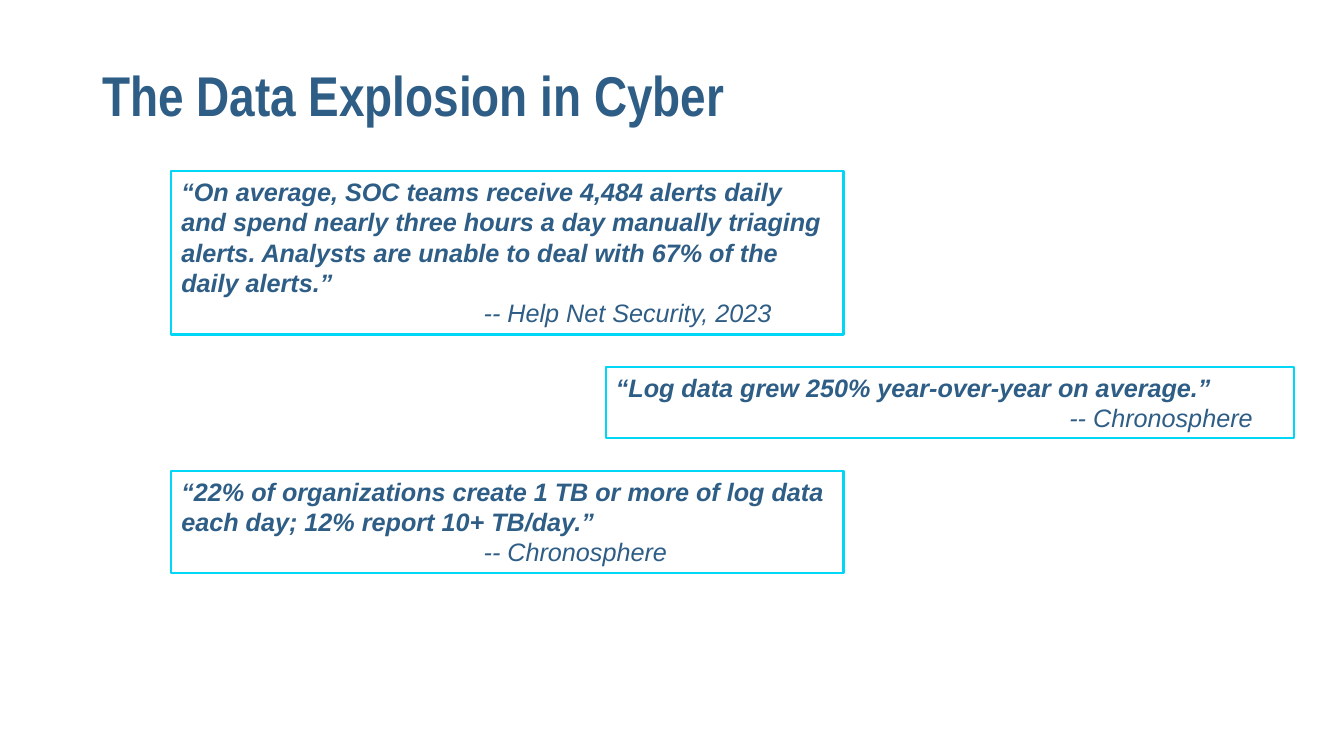
"""Build the slide of three quotes on data growth in cyber security."""
from pptx import Presentation
from pptx.dml.color import RGBColor
from pptx.enum.text import MSO_ANCHOR, MSO_AUTO_SIZE, PP_ALIGN
from pptx.util import Cm, Pt

COLORS = {"text": "2E5D86", "border": "00D7F7"}


def style(p, font, size, bold, italic):
    for r in p.runs:
        r.font.name = font
        r.font.size = Pt(size)
        r.font.bold = bold
        r.font.italic = italic
        r.font.color.rgb = RGBColor.from_string(COLORS["text"])


prs = Presentation()
prs.slide_width, prs.slide_height = Cm(33.87), Cm(19.05)
s = prs.slides.add_slide(prs.slide_layouts[5])

title = s.shapes.title
title.left, title.top, title.width, title.height = Cm(2.33), Cm(0.64), Cm(29.21), Cm(3.68)
tf = title.text_frame
tf.text = "The Data Explosion in Cyber"
tf.auto_size = MSO_AUTO_SIZE.NONE
tf.vertical_anchor = MSO_ANCHOR.MIDDLE
p = tf.paragraphs[0]
p.alignment = PP_ALIGN.LEFT
p.line_spacing = 0.9
style(p, "Arial Narrow", 40, True, False)

quotes = [
    (4.32, 16.94, 4.11, 7.62,
     "“On average, SOC teams receive 4,484 alerts daily and spend nearly three hours a day "
     "manually triaging alerts. Analysts are unable to deal with 67% of the daily alerts.”",
     "-- Help Net Security, 2023"),
    (15.27, 17.35, 1.8, 11.43,
     "“Log data grew 250% year-over-year on average.”",
     "-- Chronosphere"),
    (4.32, 16.94, 2.57, 7.62,
     "“22% of organizations create 1 TB or more of log data each day; 12% report 10+ TB/day.”",
     "-- Chronosphere"),
]
gap = 0.82
top = 4.32
for left, width, height, indent, quote, source in quotes:
    sp = s.shapes.add_textbox(Cm(left), Cm(top), Cm(width), Cm(height))
    sp.line.color.rgb = RGBColor.from_string(COLORS["border"])
    sp.line.width = Pt(1.5)
    tf = sp.text_frame
    tf.word_wrap = True
    tf.auto_size = MSO_AUTO_SIZE.SHAPE_TO_FIT_TEXT
    p = tf.paragraphs[0]
    p.text = quote
    style(p, "Arial", 18, True, True)
    p = tf.add_paragraph()
    p.text = source
    p._p.get_or_add_pPr().set("marL", str(Cm(indent)))
    style(p, "Arial", 18, False, True)
    top += height + gap

prs.save("out.pptx")
